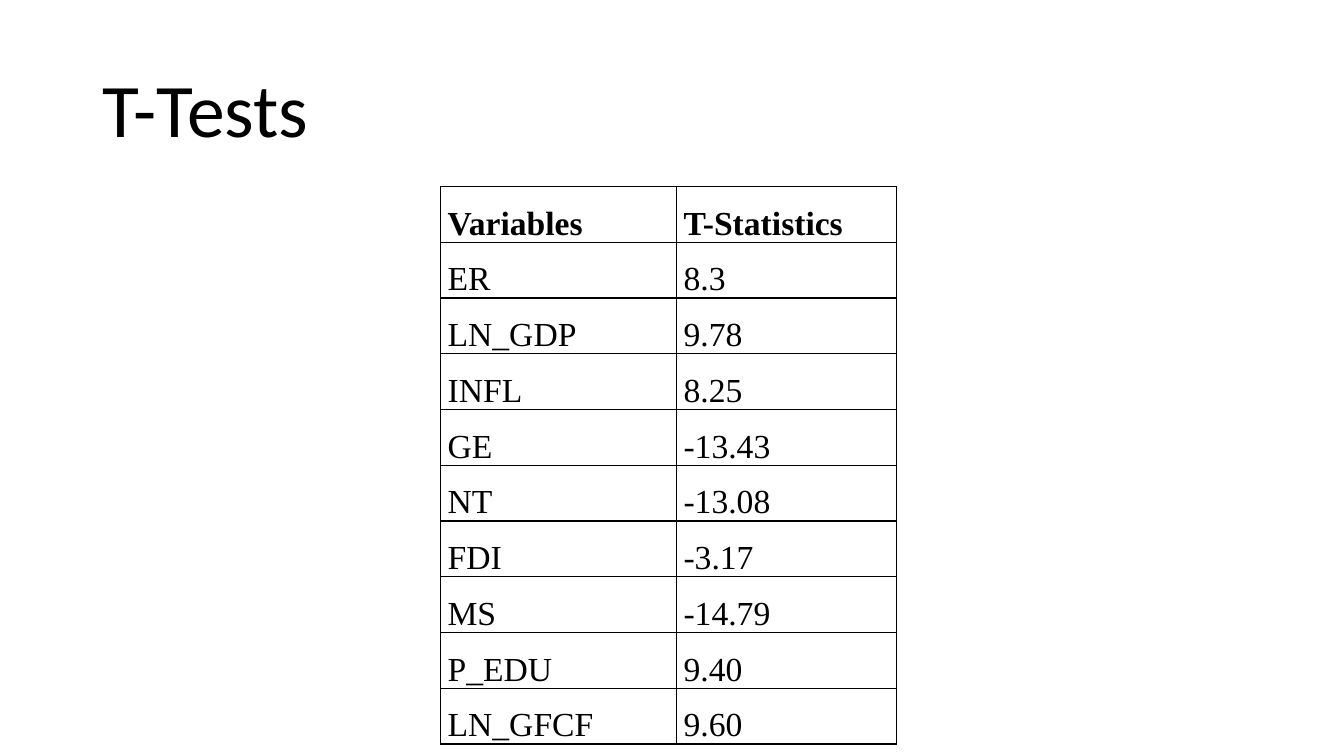
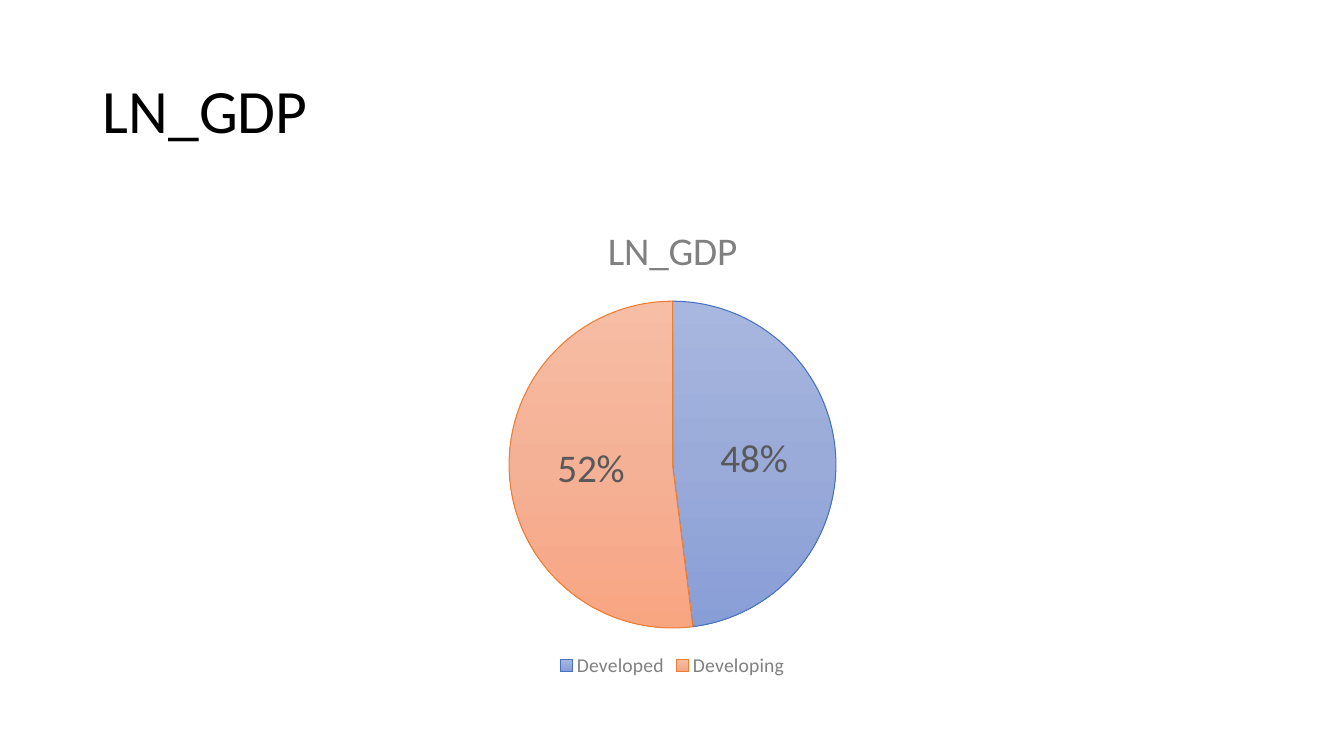
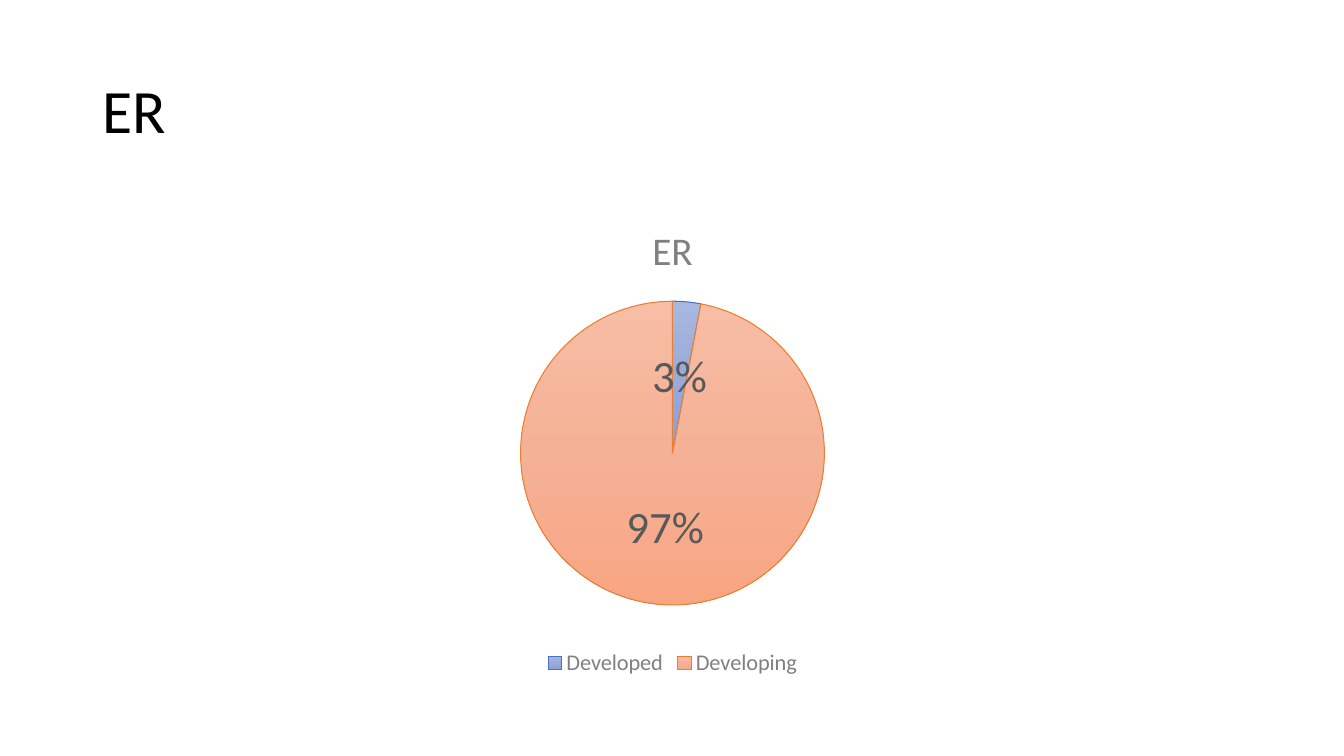
"""Build the T-test table and the two pie chart slides."""
from copy import deepcopy
from dataclasses import dataclass

from pptx import Presentation
from pptx.chart.data import CategoryChartData
from pptx.dml.color import RGBColor
from pptx.enum.chart import XL_CHART_TYPE, XL_LABEL_POSITION, XL_LEGEND_POSITION
from pptx.enum.text import MSO_ANCHOR, MSO_AUTO_SIZE, PP_ALIGN
from pptx.oxml import parse_xml
from pptx.oxml.ns import nsdecls, qn
from pptx.slide import Slide
from pptx.util import Inches, Pt

BLACK = RGBColor(0x00, 0x00, 0x00)
GRAY = RGBColor(0x80, 0x80, 0x80)
DARK_GRAY = RGBColor(0x59, 0x59, 0x59)
BODY_FONT = "Calibri"
TABLE_FONT = "Times New Roman"
CATEGORIES = ("Developed", "Developing")


@dataclass(frozen=True)
class SliceStyle:
    """Outline and top-to-bottom gradient of one pie slice."""
    outline: RGBColor
    stops: tuple[RGBColor, RGBColor, RGBColor]


@dataclass(frozen=True)
class PieSlide:
    """Name, percentages and text sizes of one pie slide."""
    name: str
    values: tuple[int, int]
    label_size: int
    legend_size: int


SLICES = (
    SliceStyle(RGBColor(0x44, 0x72, 0xC4),
               (RGBColor(0xA8, 0xB7, 0xDF), RGBColor(0x9A, 0xAB, 0xD9), RGBColor(0x88, 0x9E, 0xD7))),
    SliceStyle(RGBColor(0xED, 0x7D, 0x31),
               (RGBColor(0xF7, 0xBD, 0xA5), RGBColor(0xF5, 0xB1, 0x96), RGBColor(0xF8, 0xA5, 0x82))),
)
PIES = (PieSlide("LN_GDP", (48, 52), 28, 14), PieSlide("ER", (3, 97), 32, 16))
T_TESTS = (
    ("Variables", "T-Statistics"),
    ("ER", "8.3"),
    ("LN_GDP", "9.78"),
    ("INFL", "8.25"),
    ("GE", "-13.43"),
    ("NT", "-13.08"),
    ("FDI", "-3.17"),
    ("MS", "-14.79"),
    ("P_EDU", "9.40"),
    ("LN_GFCF", "9.60"),
)


def style_font(font, size: float, color: RGBColor, name: str = BODY_FONT, bold: bool = False) -> None:
    """Set the face, size, colour and weight of a font."""
    font.name, font.size, font.bold = name, Pt(size), bold
    font.color.rgb = color


def write_text(frame, text: str, *, size: float, name: str = BODY_FONT, bold: bool = False,
               align: PP_ALIGN = PP_ALIGN.LEFT, spacing: float = 1.0, after: float = 0) -> None:
    """Write one formatted paragraph into a text frame."""
    para = frame.paragraphs[0]
    para.alignment, para.line_spacing, para.space_after = align, spacing, Pt(after)
    span = para.add_run()
    span.text = text
    style_font(span.font, size, BLACK, name, bold)


def add_titled_page(deck, title: str, size: float = 44) -> Slide:
    """Add a title-only slide and format its title."""
    page = deck.slides.add_slide(deck.slide_layouts[5])
    box = page.shapes.title
    box.left, box.top, box.width, box.height = Inches(0.92), Inches(0.4), Inches(11.5), Inches(1.45)
    box.text_frame.auto_size = MSO_AUTO_SIZE.NONE
    box.text_frame.vertical_anchor = MSO_ANCHOR.MIDDLE
    write_text(box.text_frame, title, size=size, spacing=0.9)
    return page


def add_borders(cell) -> None:
    """Draw a thin black line on every side of a cell."""
    properties = cell._tc.get_or_add_tcPr()
    for position, side in enumerate(("lnL", "lnR", "lnT", "lnB")):
        properties.insert(position, parse_xml(
            f'<a:{side} {nsdecls("a")} w="{Pt(1)}"><a:solidFill>'
            f'<a:srgbClr val="{BLACK}"/></a:solidFill></a:{side}>'))


def add_t_test_table(page: Slide) -> None:
    """Add the bordered table of t-statistics."""
    table = page.shapes.add_table(len(T_TESTS), 2, Inches(4.37), Inches(1.85),
                                  Inches(4.52), Inches(4.8)).table
    table.first_row = table.horz_banding = False
    for column, width in zip(table.columns, (2.34, 2.18)):
        column.width = Inches(width)
    for row_index, row in enumerate(T_TESTS):
        for column_index, text in enumerate(row):
            cell = table.cell(row_index, column_index)
            cell.fill.background()
            cell.vertical_anchor = MSO_ANCHOR.BOTTOM
            cell.margin_left = cell.margin_right = Inches(0.07)
            cell.margin_top = cell.margin_bottom = 0
            write_text(cell.text_frame, text, size=24, name=TABLE_FONT, bold=row_index == 0,
                       align=PP_ALIGN.JUSTIFY, spacing=1.5, after=8)
            add_borders(cell)


def style_slice(chart, index: int, style: SliceStyle) -> None:
    """Give a pie slice its three-stop gradient and outline."""
    shape_format = chart.plots[0].series[0].points[index].format
    fill = shape_format.fill
    fill.gradient()
    fill.gradient_angle = 270
    stop_list = list(chart.element.iter(qn("a:gsLst")))[-1]
    stop_list.insert(1, deepcopy(stop_list[0]))
    for stop, position, color in zip(fill.gradient_stops, (0, 0.5, 1), style.stops):
        stop.position = position
        stop.color.rgb = color
    shape_format.line.color.rgb = style.outline
    shape_format.line.width = Pt(0.75)


def add_pie(page: Slide, pie: PieSlide) -> None:
    """Add a pie chart with title, percentages and legend."""
    chart_data = CategoryChartData()
    chart_data.categories = CATEGORIES
    chart_data.add_series("Series 1", pie.values)
    chart = page.shapes.add_chart(XL_CHART_TYPE.PIE, Inches(0.92), Inches(2), Inches(11.5),
                                  Inches(4.76), chart_data).chart
    style_font(chart.font, 10, BLACK)
    chart.has_title = True
    chart.chart_title.include_in_layout = False
    para = chart.chart_title.text_frame.paragraphs[0]
    span = para.add_run()
    span.text = pie.name
    style_font(span.font, 28, GRAY)
    chart.has_legend = True
    chart.legend.position = XL_LEGEND_POSITION.BOTTOM
    chart.legend.include_in_layout = False
    style_font(chart.legend.font, pie.legend_size, GRAY)
    plot = chart.plots[0]
    plot.vary_by_categories = True
    for index, style in enumerate(SLICES):
        style_slice(chart, index, style)
    plot.has_data_labels = True
    labels = plot.data_labels
    labels.show_percentage, labels.show_value = True, False
    labels.number_format, labels.number_format_is_linked = "0%", False
    labels.position = XL_LABEL_POSITION.CENTER
    style_font(labels.font, pie.label_size, DARK_GRAY)


def main() -> None:
    """Build and save the deck."""
    deck = Presentation()
    deck.slide_width, deck.slide_height = Inches(13.33), Inches(7.5)
    add_t_test_table(add_titled_page(deck, "T-Tests", 54))
    for pie in PIES:
        add_pie(add_titled_page(deck, pie.name), pie)
    deck.save("out.pptx")


main()
